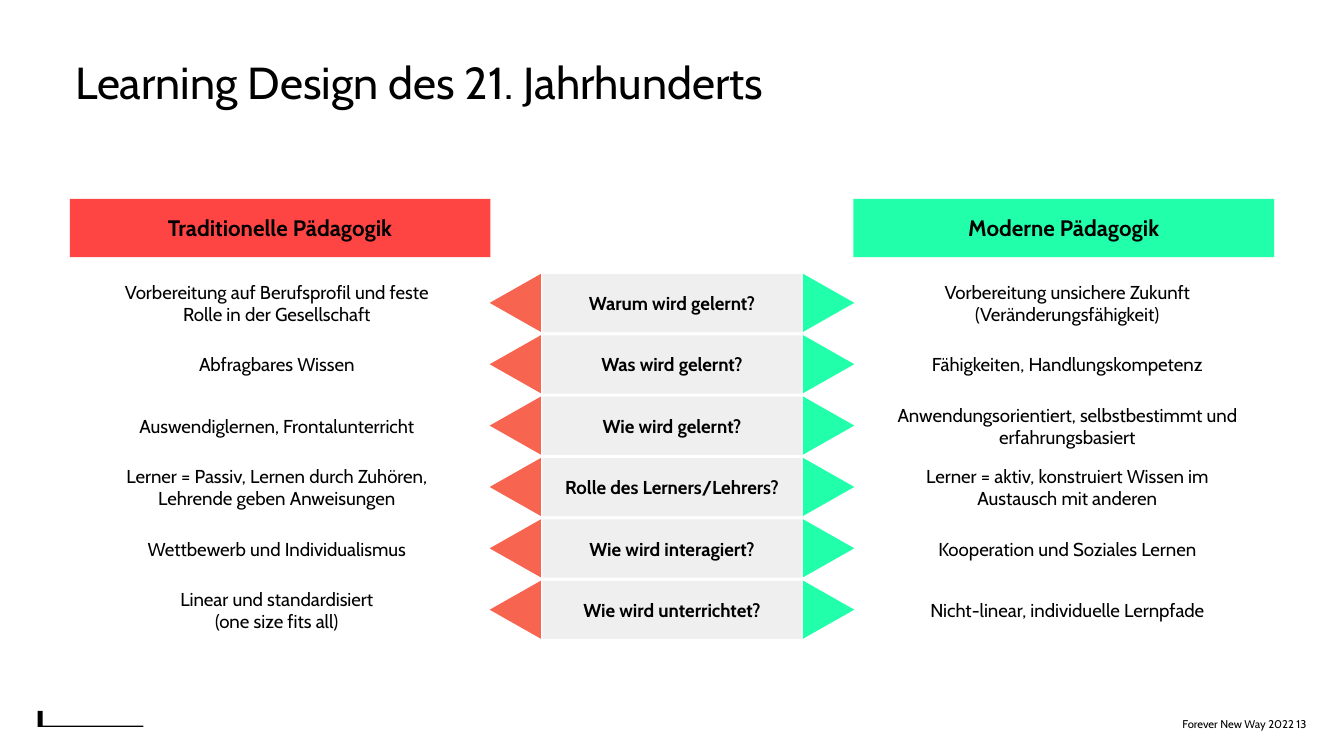
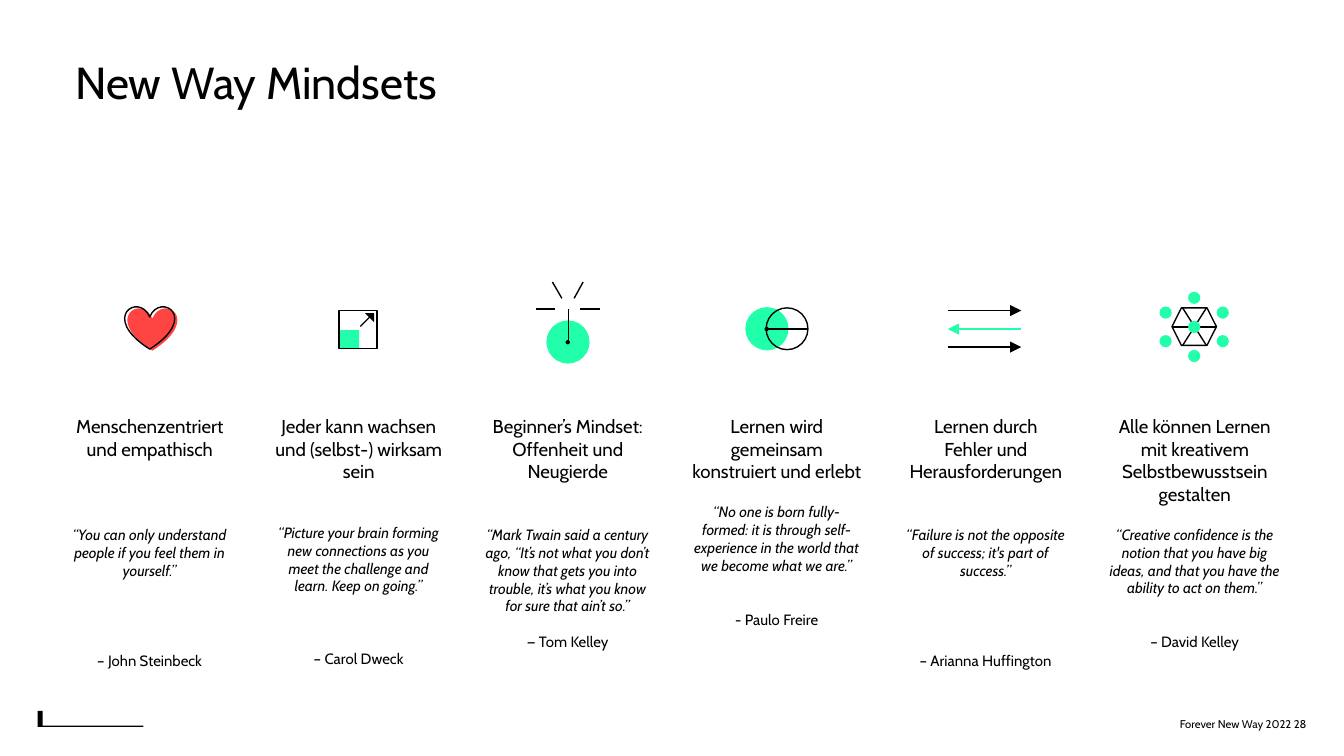
from dataclasses import dataclass
from lxml.etree import SubElement
from pptx import Presentation
from pptx.dml.color import RGBColor
from pptx.enum.shapes import MSO_CONNECTOR, MSO_SHAPE
from pptx.enum.text import MSO_ANCHOR, PP_ALIGN
from pptx.oxml.ns import qn
from pptx.util import Cm, Pt


@dataclass(frozen=True)
class Theme:
    font: str = "Cabin"
    black: str = "000000"
    red: str = "FF4444"
    coral: str = "F7644F"
    green: str = "22FFAA"
    grey: str = "EFEFEF"
    title: int = 24
    header: int = 12
    body: int = 10
    quote: int = 8
    footer: int = 6
    stroke: float = 0.75


theme = Theme()


def draw(shapes, kind, left, top, width, height, fill=None, line=None, rotation=0):
    frame = Cm(left), Cm(top), Cm(width), Cm(height)
    if kind is None:
        return shapes.add_textbox(*frame)
    shape = shapes.add_shape(kind, *frame)
    shape.shadow.inherit = False
    shape.rotation = rotation
    if fill:
        shape.fill.solid()
        shape.fill.fore_color.rgb = RGBColor.from_string(fill)
    else:
        shape.fill.background()
    if line:
        shape.line.color.rgb = RGBColor.from_string(line)
        shape.line.width = Pt(theme.stroke)
    else:
        shape.line.fill.background()
    return shape


def write(box, paragraphs, align=PP_ALIGN.CENTER, anchor=MSO_ANCHOR.MIDDLE,
          inset=(0.25, 0.25, 0.25, 0.25), bold=False):
    frame = box.text_frame
    frame.word_wrap = True
    frame.vertical_anchor = anchor
    frame.margin_left, frame.margin_top, frame.margin_right, frame.margin_bottom = map(Cm, inset)
    for index, (text, size, italic, before) in enumerate(paragraphs):
        para = frame.add_paragraph() if index else frame.paragraphs[0]
        para.alignment = align
        if before:
            para.space_before = Pt(before)
        for number, piece in enumerate(text.split("\n")):
            if number:
                para.add_line_break()
            span = para.add_run()
            span.text = piece
            span.font.name = theme.font
            span.font.size = Pt(size)
            span.font.bold = bold
            span.font.italic = italic
            span.font.color.rgb = RGBColor.from_string(theme.black)


deck = Presentation()
deck.slide_width, deck.slide_height = Cm(25.4), Cm(14.29)

pages = []
for title, width, height, number in [
    ("Learning Design des 21. Jahrhunderts", 19.71, 3.3, 13),
    ("New Way Mindsets", 23.24, 2.21, 28),
]:
    page = deck.slides.add_slide(deck.slide_layouts[6])
    pages.append(page)
    box = draw(page.shapes, None, 0.71, 0.53, width, height)
    write(box, [(title, theme.title, False, 0)], PP_ALIGN.LEFT, MSO_ANCHOR.TOP, (0.71,) * 4)
    corner = draw(page.shapes, MSO_SHAPE.CORNER, 0.71, 13.44, 2, 0.3, theme.black)
    corner.adjustments[0] = 0.08
    corner.adjustments[1] = 0.32
    box = draw(page.shapes, None, 19.81, 13.39, 4.88, 0.58)
    write(box, [(f"Forever New Way 2022 {number}", theme.footer, False, 0)],
          PP_ALIGN.RIGHT, inset=(0.25, 0.25, 0, 0.25))

comparison, mindsets = pages

for text, left, color in [
    ("Traditionelle Pädagogik", 1.32, theme.red),
    ("Moderne Pädagogik", 16.13, theme.green),
]:
    header = draw(comparison.shapes, MSO_SHAPE.RECTANGLE, left, 3.76, 7.95, 1.1, color)
    write(header, [(text, theme.header, False, 0)], bold=True)

questions = [
    ("Vorbereitung auf Berufsprofil und feste Rolle in der Gesellschaft", "Warum wird gelernt?",
     "Vorbereitung unsichere Zukunft (Veränderungsfähigkeit)"),
    ("Abfragbares Wissen", "Was wird gelernt?", "Fähigkeiten, Handlungskompetenz"),
    ("Auswendiglernen, Frontalunterricht", "Wie wird gelernt?",
     "Anwendungsorientiert, selbstbestimmt und erfahrungsbasiert"),
    ("Lerner = Passiv, Lernen durch Zuhören, Lehrende geben Anweisungen",
     "Rolle des Lerners/Lehrers?",
     "Lerner = aktiv, konstruiert Wissen im Austausch mit anderen"),
    ("Wettbewerb und Individualismus", "Wie wird interagiert?",
     "Kooperation und Soziales Lernen"),
    ("Linear und standardisiert\n(one size fits all)", "Wie wird unterrichtet?",
     "Nicht-linear, individuelle Lernpfade"),
]
for row, (traditional, question, modern) in enumerate(questions):
    top = 5.18 + 1.16 * row
    bar = draw(comparison.shapes, MSO_SHAPE.RECTANGLE, 10.25, top, 4.9, 1.1, theme.grey)
    write(bar, [(question, theme.body, False, 0)], bold=True)
    for text, text_left, tip_left, color, rotation in [
        (traditional, 1.75, 9.19, theme.coral, 270),
        (modern, 16.69, 15.11, theme.green, 90),
    ]:
        draw(comparison.shapes, MSO_SHAPE.ISOSCELES_TRIANGLE, tip_left, top + 0.06, 1.1, 0.97,
             color, rotation=rotation)
        box = draw(comparison.shapes, None, text_left, top, 6.96, 1.1)
        write(box, [(text, theme.body, False, 0)])

columns = [
    ("Menschenzentriert und empathisch", 35.2,
     "“You can only understand people if you feel them in yourself.”", 38.8, "– John Steinbeck"),
    ("Jeder kann wachsen und (selbst-) wirksam sein", 21.9,
     "“Picture your brain forming new connections as you meet the challenge and learn. "
     "Keep on going.”", 29.1, "– Carol Dweck"),
    ("Beginner’s Mindset: Offenheit und Neugierde", 23,
     "“Mark Twain said a century ago, “It’s not what you don’t know that gets you into "
     "trouble, it’s what you know for sure that ain’t so.”", 9.7, "— Tom Kelley"),
    ("Lernen wird gemeinsam konstruiert und erlebt", 10.9,
     "“No one is born fully-formed: it is through self- experience in the world that we "
     "become what we are.”", 19.4, "- Paulo Freire"),
    ("Lernen durch\nFehler und Herausforderungen", 23,
     "“Failure is not the opposite of success; it's part of success.”", 38.8,
     "– Arianna Huffington"),
    ("Alle können Lernen mit kreativem Selbstbewusstsein gestalten", 10.9,
     "“Creative confidence is the notion that you have big ideas, and that you have the "
     "ability to act on them.”", 19.4, "– David Kelley"),
]
for column, (mindset, quote_gap, quote, author_gap, author) in enumerate(columns):
    box = draw(mindsets.shapes, None, 0.71 + 3.95 * column, 7.14, 4.24, 4.01)
    write(box, [
        (mindset, theme.body, False, 0),
        (quote, theme.quote, True, quote_gap),
        (author, theme.quote, False, author_gap),
    ], anchor=MSO_ANCHOR.TOP, inset=(0.51, 0.71, 0.51, 0.71))

OVAL, RECTANGLE, HEART = MSO_SHAPE.OVAL, MSO_SHAPE.RECTANGLE, MSO_SHAPE.HEART
black, green = theme.black, theme.green
hub_x, hub_y, node = 22.57, 6.18, 0.23
node_offsets = [(0, 0), (0, -0.55), (0.54, -0.27), (0.54, 0.27),
                (0, 0.55), (-0.54, 0.27), (-0.54, -0.27)]

heart = [
    (HEART, 2.41, 5.82, 0.94, 0.81, theme.red),
    (HEART, 2.36, 5.79, 0.94, 0.81, None, black),
]
growth = [
    (RECTANGLE, 6.41, 6.24, 0.38, 0.36, green),
    (RECTANGLE, 6.41, 5.87, 0.72, 0.72, None, black),
    ("line", 6.81, 6.17, 7.01, 5.97, black),
    (MSO_SHAPE.RIGHT_TRIANGLE, 6.9, 5.92, 0.17, 0.17, black, None, 180),
]
spark = [
    (OVAL, 10.34, 6.07, 0.79, 0.79, green, green),
    ("line", 10.74, 6.5, 10.74, 5.84, black),
    ("line", 10.13, 5.84, 10.49, 5.84, black),
    ("line", 10.44, 5.33, 10.62, 5.64, black),
    ("line", 10.97, 5.84, 11.33, 5.84, black),
    ("line", 11.02, 5.33, 10.85, 5.64, black),
    (OVAL, 10.69, 6.43, 0.08, 0.08, black),
]
overlap = [
    (OVAL, 14.1, 5.82, 0.79, 0.79, green, green),
    ("line", 14.45, 6.22, 15.27, 6.22, black),
    (OVAL, 14.45, 6.18, 0.08, 0.08, black),
    (OVAL, 14.48, 5.82, 0.79, 0.79, None, black),
]
arrows = [
    ("arrow", 17.91, 5.87, 19.3, 5.87, black),
    ("arrow", 19.3, 6.22, 17.91, 6.22, green),
    ("arrow", 17.91, 6.56, 19.3, 6.56, black),
]
network = [
    (MSO_SHAPE.HEXAGON, 22.15, 5.82, 0.84, 0.71, None, black),
    ("line", 22.35, 5.82, 22.8, 6.53, black),
    ("line", 22.35, 6.53, 22.8, 5.82, black),
    ("line", 22.15, hub_y, 22.99, hub_y, black),
] + [
    (OVAL, hub_x + dx - node / 2, hub_y + dy - node / 2, node, node, green)
    for dx, dy in node_offsets
]

for icon in [heart, growth, spark, overlap, arrows, network]:
    group = mindsets.shapes.add_group_shape()
    for part in icon:
        if part[0] not in ("line", "arrow"):
            draw(group.shapes, *part)
            continue
        kind, *ends, color = part
        connector = group.shapes.add_connector(MSO_CONNECTOR.STRAIGHT, *map(Cm, ends))
        connector.line.color.rgb = RGBColor.from_string(color)
        connector.line.width = Pt(theme.stroke)
        properties = connector._element.spPr
        if kind == "arrow":
            SubElement(properties.find(qn("a:ln")), qn("a:tailEnd"), type="triangle")
        SubElement(properties, qn("a:effectLst"))

deck.save("out.pptx")
